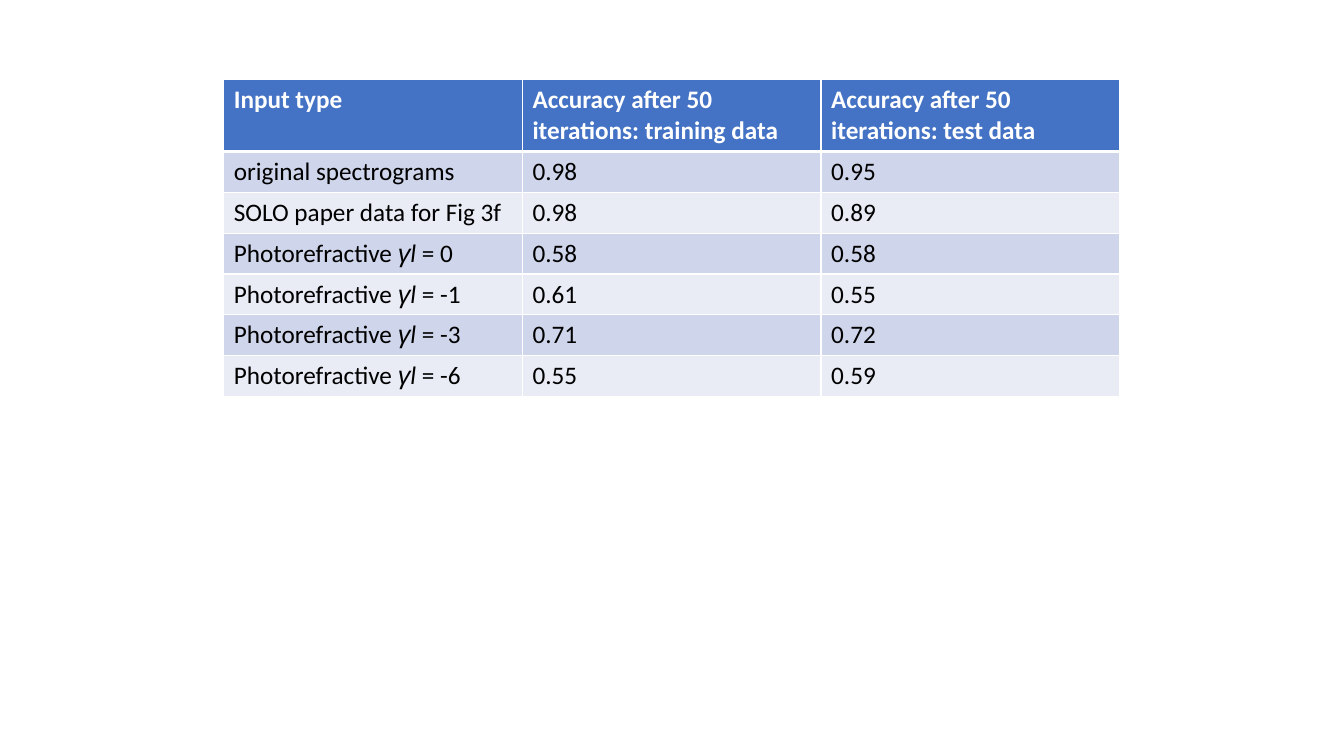
"""Build a slide with a table of accuracy by spectrogram input type."""
import dataclasses

import lxml.etree
import pptx
import pptx.dml.color
import pptx.oxml.ns
import pptx.util


@dataclasses.dataclass(frozen=True)
class Theme:
    header_fill: str = "4472C4"
    band_fills: tuple = ("CFD5EA", "E9EBF5")
    header_text: str = "FFFFFF"
    body_text: str = "000000"
    rule: str = "FFFFFF"
    font: str = "Calibri"
    symbol_font: str = "Arial"
    text_size: int = 18
    thin_rule: int = 1
    thick_rule: int = 3


HEADINGS = (
    "Input type",
    "Accuracy after 50 iterations: training data",
    "Accuracy after 50 iterations: test data",
)
PLAIN_RESULTS = [
    ("original spectrograms", "0.98", "0.95"),
    ("SOLO paper data for Fig 3f", "0.98", "0.89"),
]
PHOTOREFRACTIVE_RESULTS = [
    ("0", "0.58", "0.58"),
    ("-1", "0.61", "0.55"),
    ("-3", "0.71", "0.72"),
    ("-6", "0.55", "0.59"),
]


class SlideBuilder:
    """Hold the theme and the current slide."""

    def __init__(self, slide, theme):
        self.slide = slide
        self.theme = theme

    def add_border(self, cell, side, points):
        """Draw one side of a cell's border."""
        qn = pptx.oxml.ns.qn
        width = str(int(pptx.util.Pt(points)))
        line = lxml.etree.SubElement(cell._tc.get_or_add_tcPr(), qn(f"a:ln{side}"), w=width)
        fill = lxml.etree.SubElement(line, qn("a:solidFill"))
        lxml.etree.SubElement(fill, qn("a:srgbClr"), val=self.theme.rule)

    def fill_cell(self, cell, content, row):
        """Write and format one cell; a tuple of content mixes in italic symbols."""
        theme = self.theme
        is_header = row == 0
        thick_side = {0: "B", 1: "T"}.get(row)
        for side in "LRTB":
            self.add_border(cell, side, theme.thick_rule if side == thick_side else theme.thin_rule)
        fill = theme.header_fill if is_header else theme.band_fills[(row - 1) % 2]
        cell.fill.solid()
        cell.fill.fore_color.rgb = pptx.dml.color.RGBColor.from_string(fill)

        paragraph = cell.text_frame.paragraphs[0]
        if isinstance(content, str):
            paragraph.add_run().text = content
        else:
            for text, font_name, italic in content:
                run = paragraph.add_run()
                run.text = text
                run.font.name = font_name
                run.font.italic = italic
        paragraph.font.name = theme.font
        paragraph.font.size = pptx.util.Pt(theme.text_size)
        paragraph.font.bold = is_header
        colour = theme.header_text if is_header else theme.body_text
        paragraph.font.color.rgb = pptx.dml.color.RGBColor.from_string(colour)

    def add_table(self, records, left, top, width, height, row_height):
        """Add a banded table with equal columns."""
        frame = self.slide.shapes.add_table(
            len(records), len(records[0]), left, top, width, height
        )
        for row, record in enumerate(records):
            frame.table.rows[row].height = row_height
            for column, content in enumerate(record):
                self.fill_cell(frame.table.cell(row, column), content, row)
        frame.height = height


def photorefractive_label(gain, theme):
    """Return the text parts that name a photorefractive input."""
    return (
        ("Photorefractive ", theme.font, False),
        ("γ", theme.symbol_font, True),
        ("l", theme.font, True),
        (f" = {gain}", theme.font, False),
    )


def main():
    """Build and save the presentation."""
    cm = pptx.util.Cm
    theme = Theme()
    presentation = pptx.Presentation()
    presentation.slide_width = cm(33.87)
    presentation.slide_height = cm(19.05)
    blank_layout = presentation.slide_layouts[6]
    builder = SlideBuilder(presentation.slides.add_slide(blank_layout), theme)
    records = [HEADINGS, *PLAIN_RESULTS]
    for gain, training, test in PHOTOREFRACTIVE_RESULTS:
        records.append((photorefractive_label(gain, theme), training, test))
    builder.add_table(records, cm(5.64), cm(2.01), cm(22.58), cm(7.96), cm(1.03))
    presentation.save("out.pptx")


if __name__ == "__main__":
    main()
